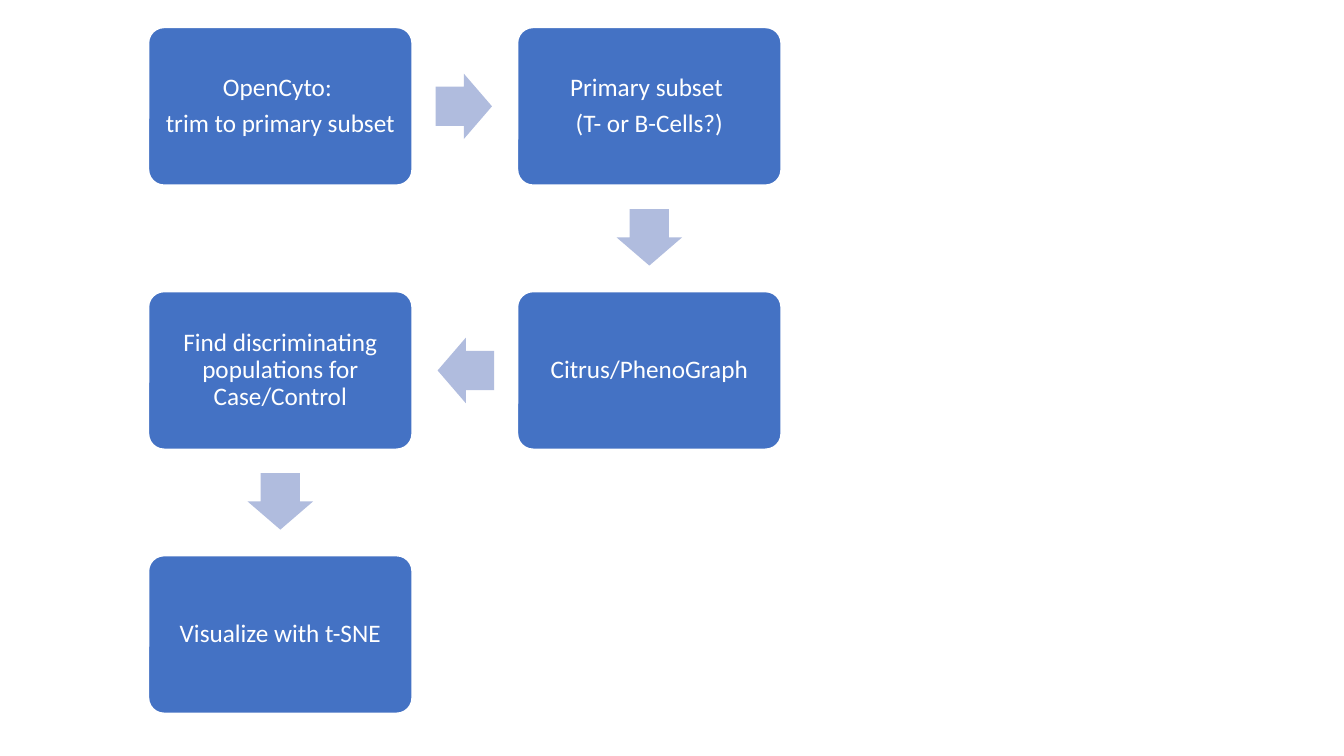
from dataclasses import dataclass
from itertools import pairwise
from math import atan2, cos, degrees, sin

from pptx import Presentation
from pptx.dml.color import RGBColor
from pptx.enum.shapes import MSO_SHAPE
from pptx.enum.text import MSO_ANCHOR, PP_ALIGN
from pptx.util import Inches, Pt

LEFT, TOP = 1.47, 0.27
COL_PITCH, ROW_PITCH = 3.66, 2.62
BOX_W, BOX_H = 2.62, 1.57
ARROW_W, ARROW_H = 0.56, 0.65
ARROW_SETBACK = 0.01

FRAME_FORMAT = {
    "word_wrap": True,
    "vertical_anchor": MSO_ANCHOR.MIDDLE,
    "margin_left": Inches(0.07),
    "margin_right": Inches(0.07),
    "margin_top": Inches(0.07),
    "margin_bottom": Inches(0.07),
}
PARAGRAPH_FORMAT = {
    "alignment": PP_ALIGN.CENTER,
    "line_spacing": 0.9,
    "space_after": Pt(6.3),
}
FONT_FORMAT = {"name": "Calibri", "size": Pt(18)}


@dataclass(frozen=True)
class Step:
    col: int
    row: int
    lines: tuple[str, ...]

    @property
    def center(self) -> tuple[float, float]:
        return (
            LEFT + self.col * COL_PITCH + BOX_W / 2,
            TOP + self.row * ROW_PITCH + BOX_H / 2,
        )


STEPS = [
    Step(0, 0, ("OpenCyto: ", "trim to primary subset")),
    Step(1, 0, ("Primary subset ", "(T- or B-Cells?)")),
    Step(1, 1, ("Citrus/PhenoGraph",)),
    Step(0, 1, ("Find discriminating populations for Case/Control",)),
    Step(0, 2, ("Visualize with t-SNE",)),
]


def color(value: str) -> RGBColor:
    return RGBColor.from_string(value)


def apply(target, values: dict) -> None:
    for name, value in values.items():
        setattr(target, name, value)


def add_centered(s, kind, x: float, y: float, w: float, h: float, fill: str):
    sp = s.shapes.add_shape(
        kind, Inches(x - w / 2), Inches(y - h / 2), Inches(w), Inches(h)
    )
    sp.shadow.inherit = False
    sp.fill.solid()
    sp.fill.fore_color.rgb = color(fill)
    return sp


def add_step(s, step: Step) -> None:
    sp = add_centered(
        s, MSO_SHAPE.ROUNDED_RECTANGLE, *step.center, BOX_W, BOX_H, "4472C4"
    )
    sp.adjustments[0] = 0.1
    sp.line.color.rgb = color("FFFFFF")
    sp.line.width = Pt(1.5)
    tf = sp.text_frame
    apply(tf, FRAME_FORMAT)
    tf.text = "\n".join(step.lines)
    for p in tf.paragraphs:
        apply(p, PARAGRAPH_FORMAT)
        for r in p.runs:
            apply(r.font, FONT_FORMAT)
            r.font.color.rgb = color("FFFFFF")


def add_arrow(s, start: Step, end: Step) -> None:
    (x1, y1), (x2, y2) = start.center, end.center
    angle = atan2(y2 - y1, x2 - x1)
    x = (x1 + x2) / 2 - ARROW_SETBACK * cos(angle)
    y = (y1 + y2) / 2 - ARROW_SETBACK * sin(angle)
    sp = add_centered(s, MSO_SHAPE.RIGHT_ARROW, x, y, ARROW_W, ARROW_H, "B0BCDE")
    sp.adjustments[0] = 0.6
    sp.adjustments[1] = 0.5
    sp.line.fill.background()
    sp.rotation = degrees(angle)


def main() -> None:
    prs = Presentation()
    prs.slide_width, prs.slide_height = Inches(13.33), Inches(7.5)
    s = prs.slides.add_slide(prs.slide_layouts[6])
    for step in STEPS:
        add_step(s, step)
    for start, end in pairwise(STEPS):
        add_arrow(s, start, end)
    prs.save("out.pptx")


if __name__ == "__main__":
    main()
